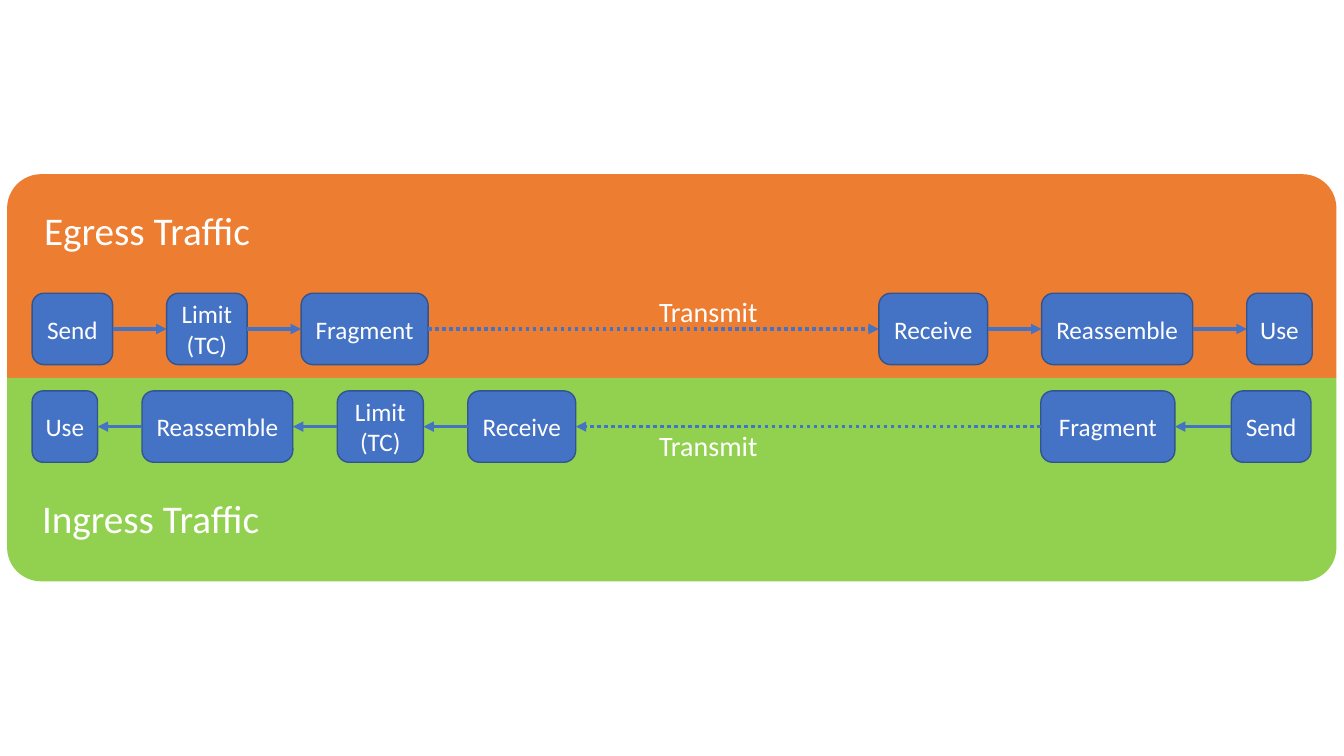
import pptx
import pptx.util
import pptx.dml.color
import pptx.enum.dml
import pptx.enum.shapes
import pptx.enum.text
import pptx.oxml.ns
import lxml.etree

Cm, Pt = pptx.util.Cm, pptx.util.Pt
SHAPE = pptx.enum.shapes.MSO_SHAPE
FONT = "Calibri"
COLORS = {"egress": "ED7D31", "ingress": "92D050", "step": "4472C4",
          "outline": "325491", "text": "FFFFFF"}
LEFT, RIGHT = 1, 3  # connection sites of a rounded rectangle
STEP_HEIGHT = 1.8
TRANSMIT_MIN = 5  # a gap wider than this is the network hop

# Steps from left to right: label, gap before the box, box width (cm)
EGRESS = [("Send", 0.63, 2.03), ("Limit (TC)", 1.36, 2.03),
          ("Fragment", 1.36, 3.2), ("Receive", 11.36, 2.74),
          ("Reassemble", 1.36, 3.81), ("Use", 1.36, 1.65)]
INGRESS = [("Use", 0.63, 1.65), ("Reassemble", 1.12, 3.8),
           ("Limit (TC)", 1.12, 2.17), ("Receive", 1.12, 2.72),
           ("Fragment", 11.72, 3.38), ("Send", 1.42, 2.01)]


def rgb(name):
    """Return the named colour."""
    return pptx.dml.color.RGBColor.from_string(COLORS[name])


def write(shape, text, size):
    """Put white text of the given size into a shape."""
    tf = shape.text_frame
    tf.text = text
    for r in tf.paragraphs[0].runs:
        r.font.name, r.font.size = FONT, Pt(size)
        r.font.color.rgb = rgb("text")
    return tf


def add_label(s, text, x, y, w, h, size):
    """Add a text box on one line."""
    tf = write(s.shapes.add_textbox(Cm(x), Cm(y), Cm(w), Cm(h)), text, size)
    tf.word_wrap = False


def add_block(s, kind, x, y, w, h, color):
    """Add a filled shape without shadow or outline."""
    sp = s.shapes.add_shape(kind, Cm(x), Cm(y), Cm(w), Cm(h))
    sp.shadow.inherit = False
    sp.fill.solid()
    sp.fill.fore_color.rgb = rgb(color)
    sp.line.fill.background()
    return sp


def add_step(s, text, x, y, w):
    """Add one outlined step box with centred text."""
    sp = add_block(s, SHAPE.ROUNDED_RECTANGLE, x, y, w, STEP_HEIGHT, "step")
    sp.line.color.rgb = rgb("outline")
    sp.line.width = Pt(1)
    tf = write(sp, text, 18)
    tf.word_wrap = True
    tf.margin_left = tf.margin_right = Cm(0.15)
    tf.vertical_anchor = pptx.enum.text.MSO_ANCHOR.MIDDLE
    tf.paragraphs[0].alignment = pptx.enum.text.PP_ALIGN.CENTER
    return sp


def add_arrow(s, start, start_site, end, end_site, dotted):
    """Connect two steps with an arrow pointing at the end step."""
    c = s.shapes.add_connector(pptx.enum.shapes.MSO_CONNECTOR.STRAIGHT, 0, 0, 0, 0)
    c.begin_connect(start, start_site)
    c.end_connect(end, end_site)
    c.line.color.rgb = rgb("step")
    c.line.width = Pt(2.5)
    if dotted:
        c.line.dash_style = pptx.enum.dml.MSO_LINE.ROUND_DOT
    qn = pptx.oxml.ns.qn
    lxml.etree.SubElement(c.line._get_or_add_ln(), qn("a:tailEnd"), type="triangle")
    lxml.etree.SubElement(c._element.spPr, qn("a:effectLst"))


def add_lane(s, box, steps, color, corners, row_y, title, transmit_y, rightward):
    """Draw one traffic lane: panel, titles and the chain of steps."""
    x, y, w, h = box
    panel = add_block(s, SHAPE.ROUND_2_SAME_RECTANGLE, x, y, w, h, color)
    panel.adjustments[0], panel.adjustments[1] = corners
    text, title_x, title_y = title
    add_label(s, text, x + title_x, y + title_y, 6, 1.45, 28)

    previous, step_x = None, x
    for name, gap, width in steps:
        step_x += gap
        step = add_step(s, name, step_x, y + row_y, width)
        step_x += width
        if previous is not None:
            dotted = gap > TRANSMIT_MIN
            if rightward:
                add_arrow(s, previous, RIGHT, step, LEFT, dotted)
            else:
                add_arrow(s, step, LEFT, previous, RIGHT, dotted)
        previous = step
    add_label(s, "Transmit", x + 16.18, y + transmit_y, 3.02, 1.12, 20)


def build_traffic_slide(prs):
    """Stack the egress lane on the ingress lane."""
    s = prs.slides.add_slide(prs.slide_layouts[6])
    x, y, w, h = 0.18, 4.39, 33.5, 5.13
    add_lane(s, (x, y, w, h), EGRESS, "egress", (0.167, 0), 3,
             ("Egress Traffic", 0.68, 0.69), 2.9, True)
    add_lane(s, (x, y + h, w, h), INGRESS, "ingress", (0, 0.167), 0.33,
             ("Ingress Traffic", 0.63, 2.82), 1.15, False)


prs = pptx.Presentation()
prs.slide_width, prs.slide_height = Cm(33.87), Cm(19.05)
build_traffic_slide(prs)
prs.save("out.pptx")
